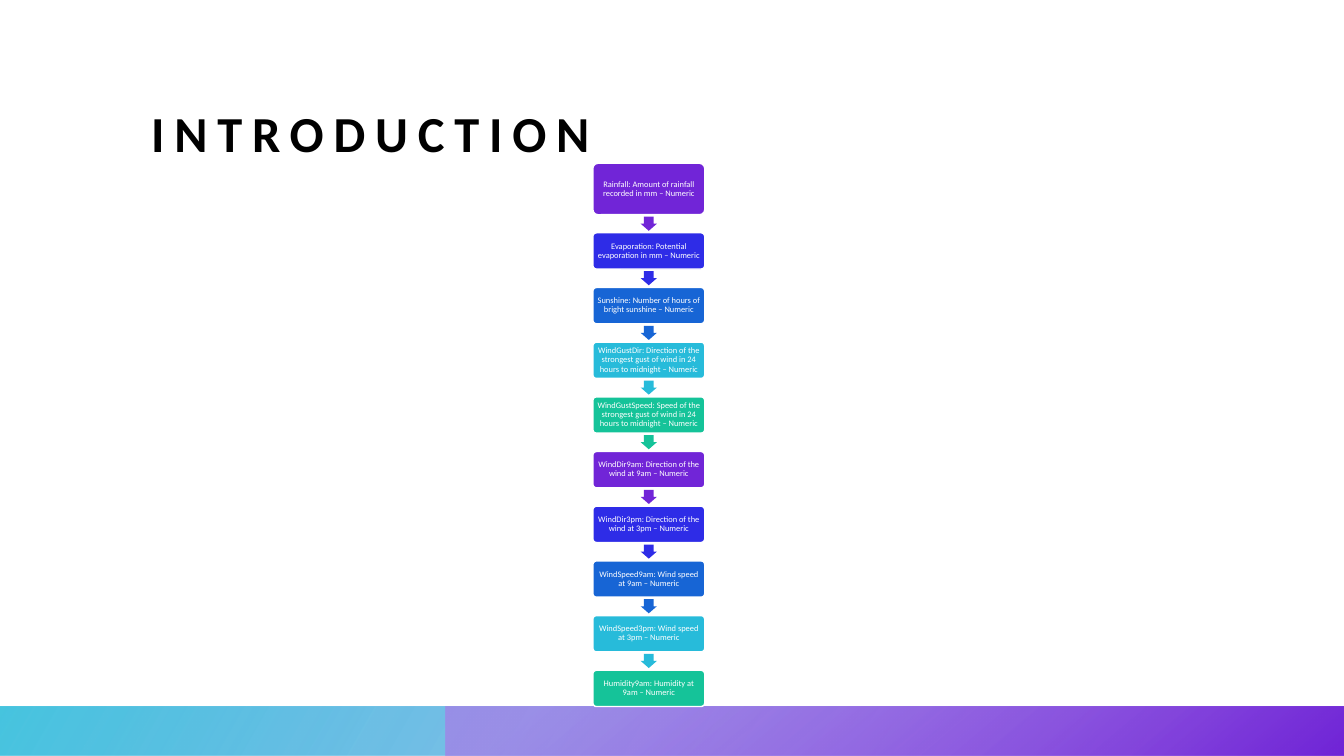
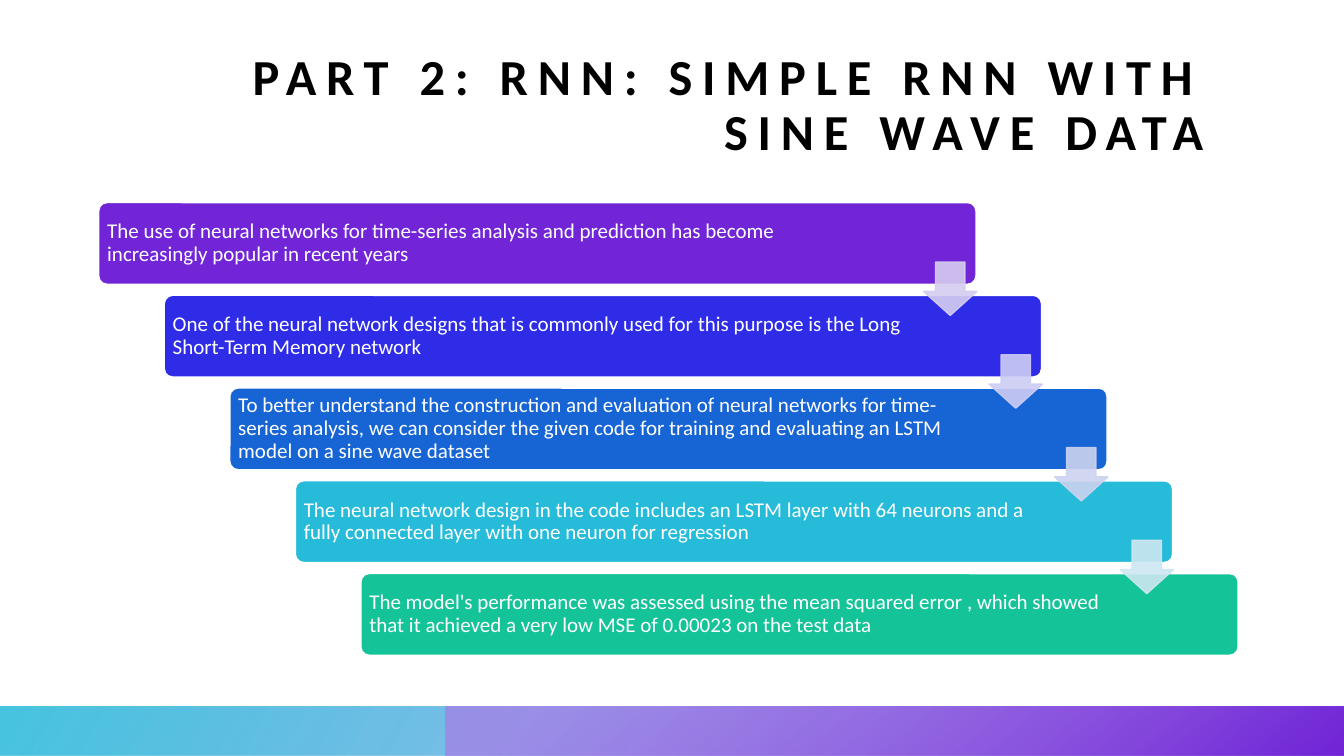
from lxml.etree import SubElement
from pptx import Presentation
from pptx.dml.color import RGBColor
from pptx.enum.shapes import MSO_SHAPE as Preset
from pptx.enum.text import MSO_ANCHOR as Anchor, PP_ALIGN as Align
from pptx.oxml.ns import qn
from pptx.util import Inches, Pt

FONT = "Calibri"
BLACK, WHITE = "000000", "FFFFFF"
PALETTE = ["7125D7", "2E2CE7", "1765D5", "27BBDA", "15C399"]
ARROW_TINTS = ["D5CDF0", "CDCDF6", "CCD3EF", "CDE7F1"]
BANDS = [
    dict(left=0, width=13.33, angle=210, stops=[(14, "1765D5", 28), (100, "27BBDA", 85)]),
    dict(left=4.42, width=8.92, angle=50, stops=[(9, "AA7BE8", 68), (99, "7125D7", 100)]),
]

INTRO_TITLE = "INTRODUCTION"
VARIABLES = [
    "Rainfall: Amount of rainfall recorded in mm – Numeric",
    "Evaporation: Potential evaporation in mm – Numeric",
    "Sunshine: Number of hours of bright sunshine – Numeric",
    "WindGustDir: Direction of the strongest gust of wind in 24 hours to midnight – Numeric",
    "WindGustSpeed: Speed of the strongest gust of wind in 24 hours to midnight – Numeric",
    "WindDir9am: Direction of the wind at 9am – Numeric",
    "WindDir3pm: Direction of the wind at 3pm – Numeric",
    "WindSpeed9am: Wind speed at 9am – Numeric",
    "WindSpeed3pm: Wind speed at 3pm – Numeric",
    "Humidity9am: Humidity at 9am – Numeric",
]
RNN_TITLE = "PART 2: RNN: SIMPLE RNN WITH SINE WAVE DATA"
STEPS = [
    "The use of neural networks for time-series analysis and prediction has become increasingly popular in recent years",
    "One of the neural network designs that is commonly used for this purpose is the Long Short-Term Memory network",
    "To better understand the construction and evaluation of neural networks for time-series analysis, we can consider the given code for training and evaluating an LSTM model on a sine wave dataset",
    "The neural network design in the code includes an LSTM layer with 64 neurons and a fully connected layer with one neuron for regression",
    "The model's performance was assessed using the mean squared error , which showed that it achieved a very low MSE of 0.00023 on the test data",
]


def rgb(value):
    """Turn a hex string into a colour."""
    return RGBColor.from_string(value)


def write_text(shape, text, size=15, color=WHITE, bold=False, align=Align.LEFT,
               anchor=Anchor.MIDDLE, insets=(0, 0, 0, 0), tracking=0):
    """Put one formatted paragraph into a shape; insets run left, top, right, bottom."""
    frame = shape.text_frame
    frame.word_wrap = True
    frame.vertical_anchor = anchor
    (frame.margin_left, frame.margin_top,
     frame.margin_right, frame.margin_bottom) = map(Inches, insets)
    paragraph = frame.paragraphs[0]
    paragraph.alignment = align
    paragraph.line_spacing = 0.9
    run = paragraph.add_run()
    run.text = text
    run.font.name, run.font.size, run.font.bold = FONT, Pt(size), bold
    run.font.color.rgb = rgb(color)
    if tracking:
        run.font._element.set("spc", str(tracking * 100))


def add_preset(slide, preset, box, fill=None, line=None, adjust=()):
    """Add a preset shape without shadow; box is left, top, width, height."""
    shape = slide.shapes.add_shape(preset, *map(Inches, box))
    shape.shadow.inherit = False
    for index, value in enumerate(adjust):
        shape.adjustments[index] = value
    if fill:
        shape.fill.solid()
        shape.fill.fore_color.rgb = rgb(fill)
    if line:
        shape.line.color.rgb = rgb(line)
        shape.line.width = Pt(1)
    else:
        shape.line.fill.background()
    return shape


def set_alpha(color_node, percent):
    """Set the opacity of a colour node."""
    SubElement(color_node, qn("a:alpha"), val=str(percent * 1000))


def add_band(slide, left, width, angle, stops):
    """Add one gradient strip along the foot of a slide."""
    band = add_preset(slide, Preset.RECTANGLE, (left, 7.01, width, 0.49))
    band.fill.gradient()
    gradient = band._element.spPr.find(qn("a:gradFill"))
    stop_list = gradient.find(qn("a:gsLst"))
    for old_stop in list(stop_list):
        stop_list.remove(old_stop)
    for position, color, opacity in stops:
        stop = SubElement(stop_list, qn("a:gs"), pos=str(position * 1000))
        set_alpha(SubElement(stop, qn("a:srgbClr"), val=color), opacity)
    gradient.find(qn("a:lin")).set("ang", str(angle * 60000))


def start_slide(deck, title, width, top, align):
    """Add a slide with its title and foot bands."""
    slide = deck.slides.add_slide(deck.slide_layouts[6])
    heading = slide.shapes.add_textbox(*map(Inches, (1.5, top, width, 1.1)))
    write_text(heading, title, size=36, color=BLACK, bold=True, align=align,
               anchor=Anchor.BOTTOM, tracking=7)
    for band in BANDS:
        add_band(slide, **band)
    return slide


def build_intro(deck):
    """Build the chain of weather variables."""
    slide = start_slide(deck, INTRO_TITLE, 10.33, 0.52, Align.LEFT)
    left, width, arrow_width = 5.88, 1.11, 0.16
    second_top, last_top = 2.31, 6.65
    pitch = (last_top - second_top) / (len(VARIABLES) - 2)
    for index, variable in enumerate(VARIABLES):
        color = PALETTE[index % len(PALETTE)]
        top, height = (second_top + (index - 1) * pitch, 0.36) if index else (1.62, 0.51)
        box = add_preset(slide, Preset.ROUNDED_RECTANGLE, (left, top, width, height),
                         color, WHITE, [0.1])
        write_text(box, variable, size=6, align=Align.CENTER, insets=[0.02] * 4)
        if index < len(VARIABLES) - 1:
            add_preset(slide, Preset.DOWN_ARROW,
                       (left + (width - arrow_width) / 2, top + height + 0.02, arrow_width, 0.14),
                       color, adjust=[0.6, 0.5])


def build_rnn(deck):
    """Build the staircase of steps and its arrows."""
    slide = start_slide(deck, RNN_TITLE, 10.44, 0.5, Align.RIGHT)
    shift, drop = 0.65, 0.92
    for index, (step, color) in enumerate(zip(STEPS, PALETTE)):
        box = add_preset(slide, Preset.ROUNDED_RECTANGLE,
                         (0.98 + index * shift, 2.01 + index * drop, 8.7, 0.81),
                         color, WHITE, [0.1])
        write_text(box, step, insets=(0.06, 0.06, 1.25, 0.06))
    for index, tint in enumerate(ARROW_TINTS):
        arrow = add_preset(slide, Preset.DOWN_ARROW,
                           (9.16 + index * shift, 2.6 + index * drop, 0.53, 0.53),
                           tint, tint, [0.55, 0.45])
        for color_node in arrow._element.spPr.iter(qn("a:srgbClr")):
            set_alpha(color_node, 90)


def main():
    """Build and save the deck."""
    deck = Presentation()
    deck.slide_width, deck.slide_height = Inches(13.33), Inches(7.5)
    build_intro(deck)
    build_rnn(deck)
    deck.save("out.pptx")


if __name__ == "__main__":
    main()
